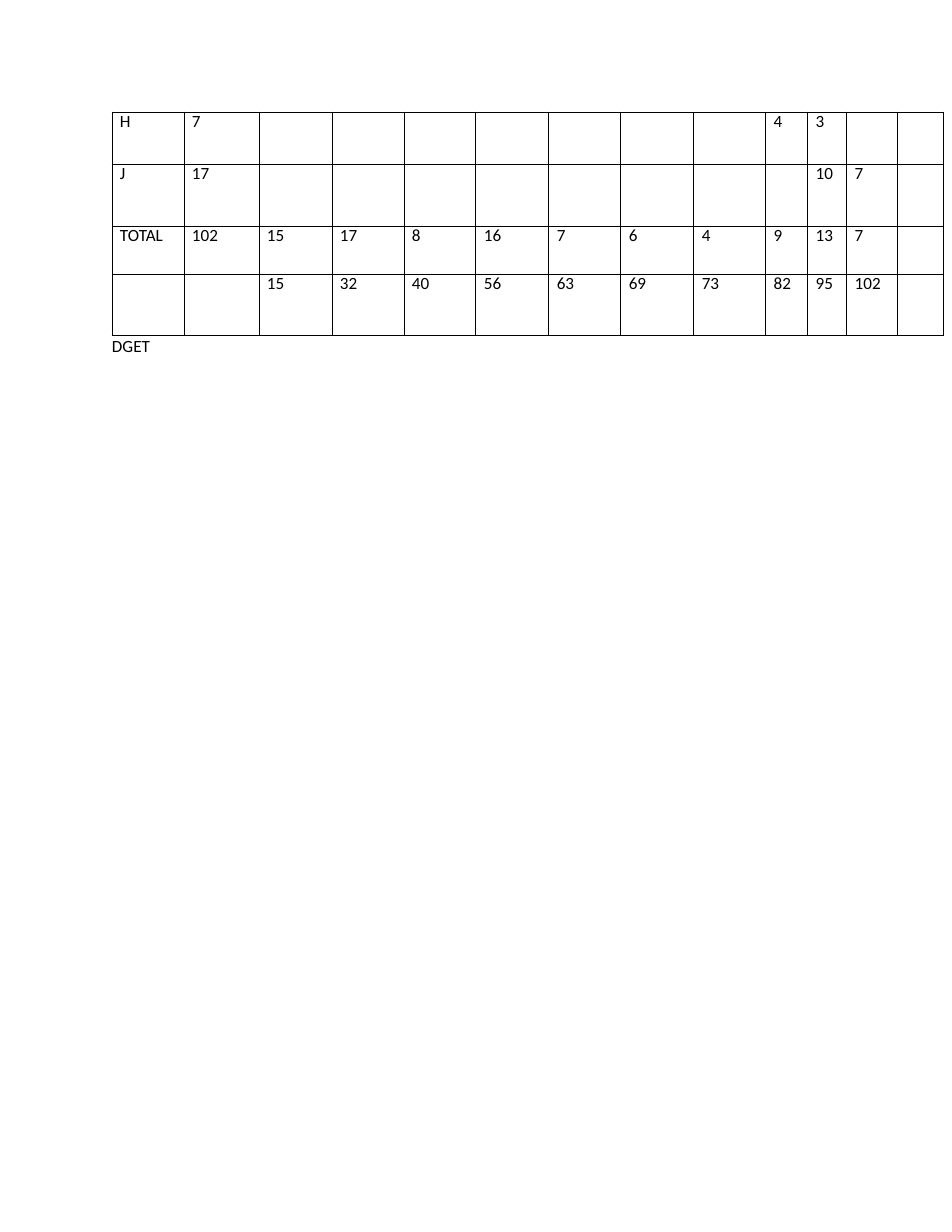
import itertools

import lxml.etree
import pptx
import pptx.dml.color
import pptx.oxml.ns
import pptx.util

PX = 914400 // 112
COLORS = {"ink": "000000"}
FONT = "Calibri"
COL_WIDTHS = [72, 75, 73, 72, 72, 73, 72, 73, 72, 42, 39, 51, 46]
ROW_HEIGHTS = [52, 62, 48, 61]
TOTALS = [15, 17, 8, 16, 7, 6, 4, 9, 13, 7]
ROWS = [
    {0: "H", 1: 7, 9: 4, 10: 3},
    {0: "J", 1: 17, 10: 10, 11: 7},
    {0: "TOTAL", 1: sum(TOTALS), **dict(enumerate(TOTALS, 2))},
    dict(enumerate(itertools.accumulate(TOTALS), 2)),
]


def px(n):
    return pptx.util.Emu(n * PX)


def write(tf, text, indent):
    tf.text = str(text)
    p = tf.paragraphs[0]
    p._p.get_or_add_pPr().set("marL", str(px(indent)))
    font = p.font if not text else p.runs[0].font
    font.name = FONT
    font.size = pptx.util.Pt(11)
    font.color.rgb = pptx.dml.color.RGBColor.from_string(COLORS["ink"])
    return p


def set_borders(cell):
    """Draw a thin line on all four sides of the cell."""
    tc_pr = cell._tc.get_or_add_tcPr()
    for i, side in enumerate(("lnL", "lnR", "lnT", "lnB")):
        ln = lxml.etree.Element(pptx.oxml.ns.qn(f"a:{side}"), w="6350")
        fill = lxml.etree.SubElement(ln, pptx.oxml.ns.qn("a:solidFill"))
        lxml.etree.SubElement(fill, pptx.oxml.ns.qn("a:srgbClr"), val=COLORS["ink"])
        tc_pr.insert(i, ln)


def add_totals_table(s, x, y):
    frame = s.shapes.add_table(len(ROWS), len(COL_WIDTHS), px(x), px(y),
                               px(sum(COL_WIDTHS)), px(sum(ROW_HEIGHTS)))
    table = frame.table
    table.first_row = table.horz_banding = False
    for col, width in zip(table.columns, COL_WIDTHS):
        col.width = px(width)
    for row, height, values in zip(table.rows, ROW_HEIGHTS, ROWS):
        row.height = px(height)
        for i, cell in enumerate(row.cells):
            cell.margin_left = cell.margin_right = 0
            cell.margin_top = cell.margin_bottom = 0
            cell.fill.background()
            set_borders(cell)
            p = write(cell.text_frame, values.get(i, ""), 8)
            p.line_spacing = pptx.util.Pt(12.9)


def add_caption(s, x, y, w, h):
    tf = s.shapes.add_textbox(px(x), px(y), px(w), px(h)).text_frame
    tf.word_wrap = True
    tf.margin_left = tf.margin_right = tf.margin_bottom = 0
    tf.margin_top = px(1)
    write(tf, "DGET", 1).space_before = pptx.util.Pt(1)


def main():
    prs = pptx.Presentation()
    prs.slide_width, prs.slide_height = px(952), px(1232)
    s = prs.slides.add_slide(prs.slide_layouts[6])
    add_totals_table(s, 112, 112)
    add_caption(s, 111, 334, 41, 24)
    prs.save("out.pptx")


if __name__ == "__main__":
    main()
